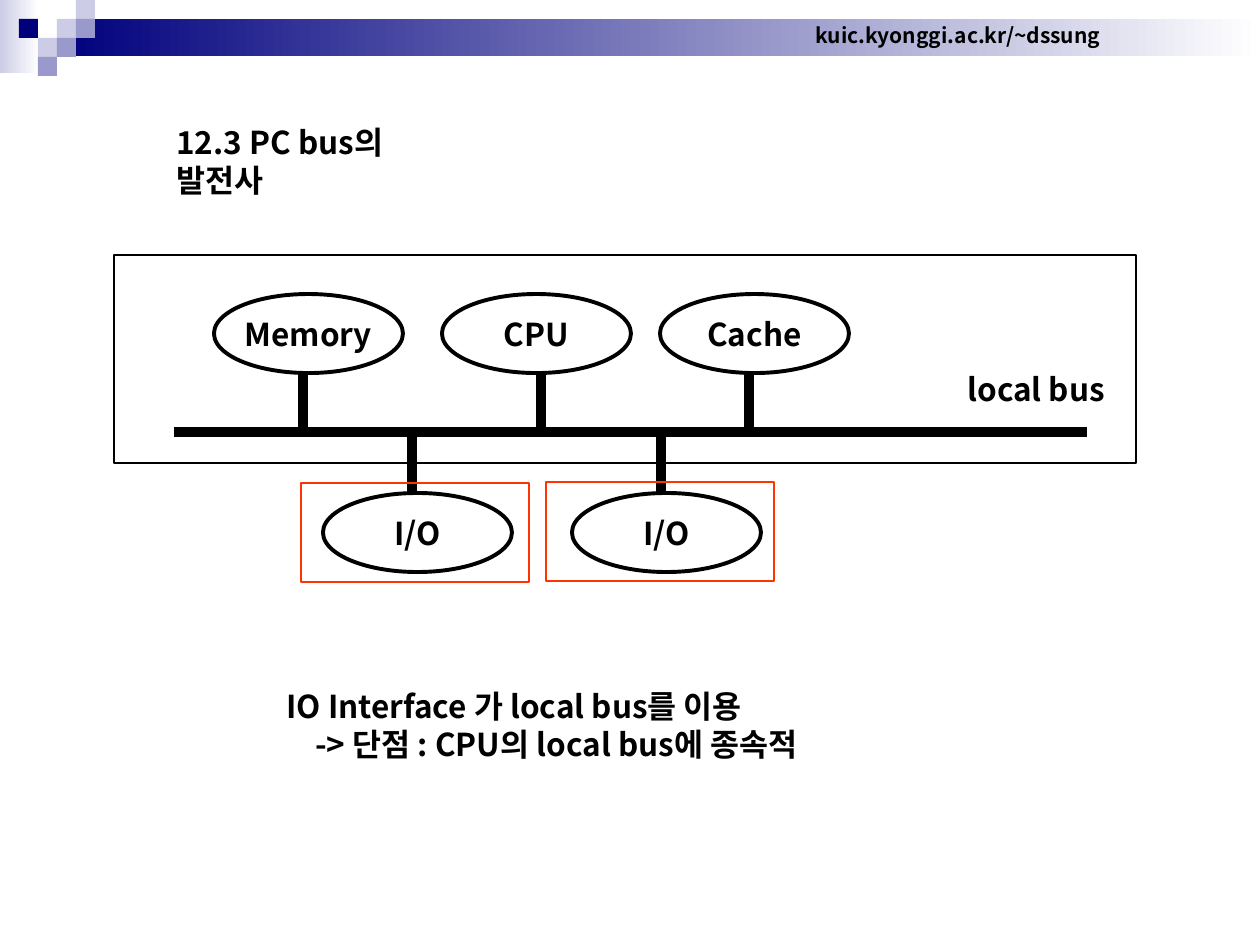
from lxml import etree
from pptx import Presentation, util as u
from pptx.dml.color import RGBColor
from pptx.enum import shapes as kinds, text as txt
from pptx.oxml import ns

PX = 914400 / 126
FONT = "Noto Sans CJK KR"
RECT = kinds.MSO_SHAPE.RECTANGLE
OVAL = kinds.MSO_SHAPE.OVAL
BLACK, WHITE, RED = "000000", "FFFFFF", "FF3300"
NAVY, LILAC, PALE = "00007D", "9999CC", "CCCCE6"
CENTERED = {"align": txt.PP_ALIGN.CENTER, "anchor": txt.MSO_ANCHOR.MIDDLE}


def px(length):
    """Turn a pixel length into EMU."""
    return u.Emu(round(length * PX))


def rgb(color):
    """Turn a hex string into a colour."""
    return RGBColor.from_string(color)


def write(shape, lines, size=18, wrap=True, align=txt.PP_ALIGN.LEFT,
          anchor=txt.MSO_ANCHOR.TOP):
    """Fill a shape with (indent, wording) paragraphs."""
    frame = shape.text_frame
    for name, value in {"word_wrap": wrap, "vertical_anchor": anchor}.items():
        setattr(frame, name, value)
    for index, (indent, wording) in enumerate(lines):
        paragraph = frame.add_paragraph() if index else frame.paragraphs[0]
        paragraph.alignment = align
        if indent:
            paragraph._p.get_or_add_pPr().set("marL", str(px(indent)))
        run = paragraph.add_run()
        run.text = wording
        run.font.color.rgb = rgb(BLACK)
        for name, value in {"size": u.Pt(size), "bold": True, "name": FONT}.items():
            setattr(run.font, name, value)
        east_asian = etree.SubElement(run._r.get_or_add_rPr(), ns.qn("a:ea"))
        east_asian.set("typeface", FONT)


def add_text(slide, box, lines, **style):
    """Place a text box."""
    write(slide.shapes.add_textbox(*map(px, box)), lines, **style)


def add_block(slide, kind, box, fill=None, fade=None, line=None, weight=0.75):
    """Place a preset shape with a plain, fading or empty fill."""
    shape = slide.shapes.add_shape(kind, *map(px, box))
    shape.shadow.inherit = False
    if fade:
        shape.fill.gradient()
        shape.fill.gradient_angle = 0
        for stop, color in zip(shape.fill.gradient_stops, (fade, WHITE)):
            stop.color.rgb = rgb(color)
    elif fill:
        shape.fill.solid()
        shape.fill.fore_color.rgb = rgb(fill)
    else:
        shape.fill.background()
    if line:
        shape.line.color.rgb = rgb(line)
        shape.line.width = u.Pt(weight)
    else:
        shape.line.fill.background()
    return shape


def add_wire(slide, start, end):
    """Draw a thick bus line."""
    wire = slide.shapes.add_connector(
        kinds.MSO_CONNECTOR.STRAIGHT, *map(px, (*start, *end)))
    wire.line.color.rgb = rgb(BLACK)
    wire.line.width = u.Pt(6)
    etree.SubElement(wire._element.spPr, ns.qn("a:effectLst"))


def add_unit(slide, label, left, top):
    """Place a labelled oval of the bus diagram."""
    oval = add_block(slide, OVAL, (left, top, 189, 79), WHITE, line=BLACK, weight=2.25)
    write(oval, [(0, label)], wrap=False, **CENTERED)


def add_banner(slide, left, top):
    """Draw the fading top band, its mosaic and the address."""
    add_block(slide, RECT, (left, top, 39, 73), fade=PALE)
    add_block(slide, RECT, (left + 57, top + 19, 1203, 37), fade=NAVY)
    mosaic = [(3, 1, PALE), (4, 0, PALE), (4, 1, LILAC), (2, 2, PALE),
              (1, 1, NAVY), (3, 2, LILAC), (2, 3, LILAC)]
    for column, row, color in mosaic:
        add_block(slide, RECT, (left + column * 19, top + row * 19, 19, 19), color)
    add_text(slide, (left + 798, top + 16, 320, 38), [(0, "kuic.kyonggi.ac.kr/~dssung")],
             size=12, **CENTERED)


def add_bus_diagram(slide, left, top, width, height):
    """Draw the local bus with the units above and the I/O below."""
    bus = top + 177
    add_wire(slide, (left + 60, bus), (left + width - 49, bus))
    for label, unit, stem in [("Memory", 100, 189), ("CPU", 328, 427), ("Cache", 546, 635)]:
        add_unit(slide, label, left + unit, top + 39)
        add_wire(slide, (left + stem, top + 118), (left + stem, bus))
    for unit, frame, drop in [(209, 187, 228), (458, 432, 227)]:
        add_unit(slide, "I/O", left + unit, top + 238)
        add_wire(slide, (left + unit + 89, bus), (left + unit + 89, top + 237))
        add_block(slide, RECT, (left + frame, top + drop, 228, 99), line=RED)
    add_text(slide, (left + 841, top + 109, 170, 50), [(0, "local bus")])
    add_block(slide, RECT, (left, top, width, height), line=BLACK)


def main():
    """Build and save the slide."""
    deck = Presentation()
    deck.slide_width, deck.slide_height = px(1260), px(945)
    slide = deck.slides.add_slide(deck.slide_layouts[6])
    add_banner(slide, 0, 0)
    add_text(slide, (164, 117, 300, 88), [(0, "12.3 PC bus의 발전사")])
    add_bus_diagram(slide, 114, 255, 1022, 208)
    add_text(slide, (274, 681, 590, 88),
             [(0, "IO Interface 가 local bus를 이용"),
              (29, "-> 단점 : CPU의 local bus에 종속적")])
    deck.save("out.pptx")


if __name__ == "__main__":
    main()
